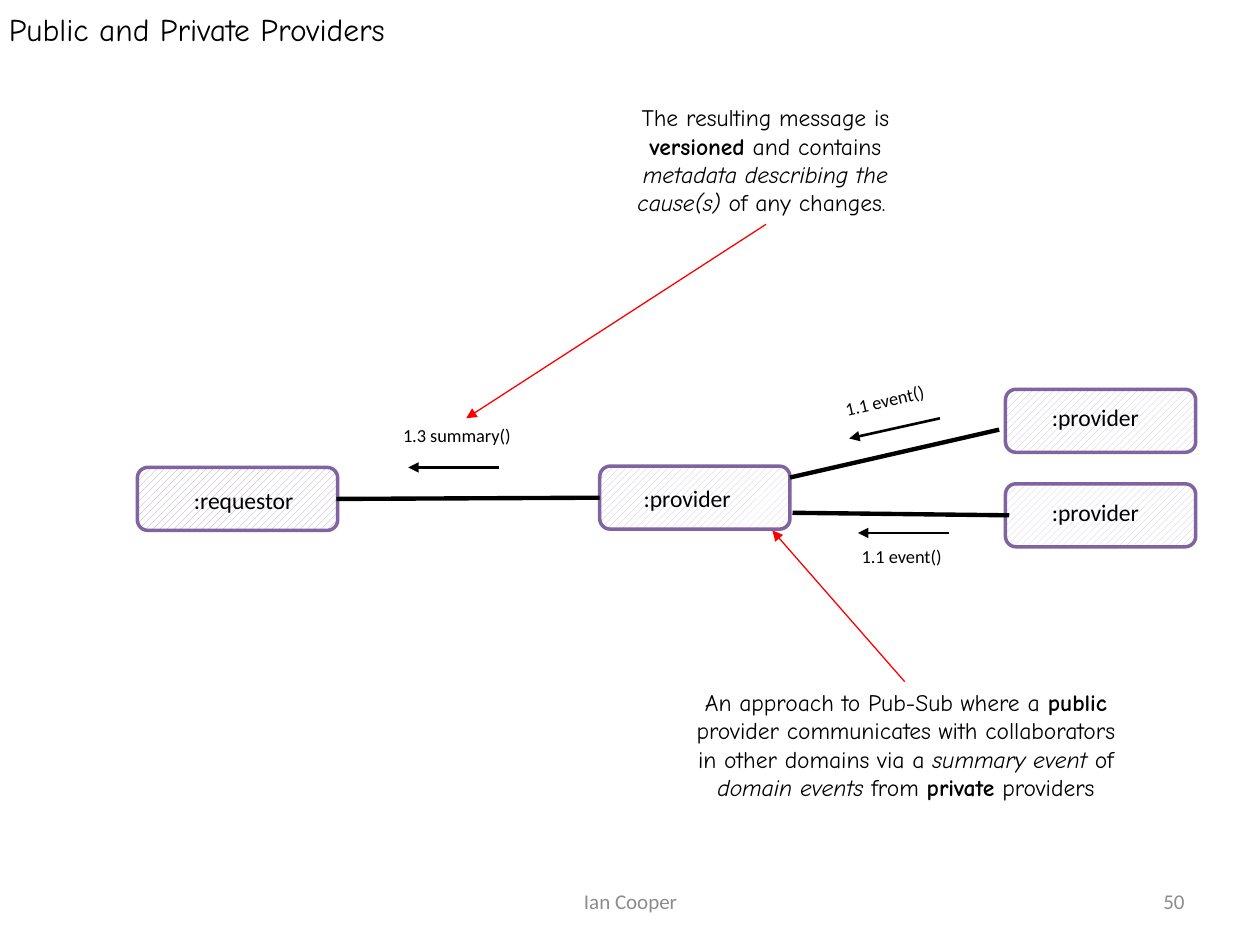
import pptx
import pptx.util
import pptx.dml.color
import pptx.enum.dml
import pptx.enum.shapes
import pptx.enum.text
import pptx.oxml.ns
import pptx.oxml.xmlchemy

Inches = pptx.util.Inches
Align = pptx.enum.text.PP_ALIGN
Anchor = pptx.enum.text.MSO_ANCHOR
Fit = pptx.enum.text.MSO_AUTO_SIZE

HUES = {
    "ink": "000000",
    "gray": "8C8C8C",
    "edge": "8064A2",
    "hatch": "CCC1DA",
    "deep": "B3A2C7",
    "paper": "FFFFFF",
    "note": "FF0000",
}
NOTE = "Comic Neue"
BODY = "Calibri"


class Board:
    def __init__(self, deck):
        self.slide = deck.slides.add_slide(deck.slide_layouts[5])
        self.shapes = self.slide.shapes

    def hue(self, name):
        return pptx.dml.color.RGBColor.from_string(HUES[name])

    def style(self, run, size, face, hue="ink", mark=""):
        font = run.font
        font.size = pptx.util.Pt(size)
        font.name = face
        font.color.rgb = self.hue(hue)
        font.bold = mark == "b"
        font.italic = mark == "i"

    def title(self, text):
        head = self.shapes.title
        head.left, head.top = Inches(0), Inches(0.01)
        head.width, head.height = Inches(10), Inches(0.45)
        frame = head.text_frame
        frame.text = text
        frame.auto_size = Fit.SHAPE_TO_FIT_TEXT
        frame.vertical_anchor = Anchor.TOP
        frame.margin_left = frame.margin_right = Inches(0.07)
        frame.margin_top = frame.margin_bottom = Inches(0.07)
        line = frame.paragraphs[0]
        line.alignment = Align.LEFT
        self.style(line.runs[0], 18, NOTE)

    def frame(self, left, top, width, height):
        box = self.shapes.add_textbox(*map(Inches, (left, top, width, height)))
        box.text_frame.word_wrap = True
        return box

    def label(self, text, left, top, width, height, size, turn=0):
        box = self.frame(left, top, width, height)
        box.rotation = turn
        box.text_frame.auto_size = Fit.SHAPE_TO_FIT_TEXT
        box.text_frame.text = text
        self.style(box.text_frame.paragraphs[0].runs[0], size, BODY)

    def foot(self, text, left, width, align):
        frame = self.frame(left, 6.95, width, 0.4).text_frame
        frame.vertical_anchor = Anchor.MIDDLE
        frame.text = text
        line = frame.paragraphs[0]
        line.alignment = align
        self.style(line.runs[0], 12, BODY, "gray")

    def note(self, parts, left, top, width, height):
        frame = self.frame(left, top, width, height).text_frame
        frame.auto_size = Fit.SHAPE_TO_FIT_TEXT
        line = frame.paragraphs[0]
        line.alignment = Align.CENTER
        for text, mark in parts:
            run = line.add_run()
            run.text = text
            self.style(run, 13.5, NOTE, mark=mark)

    def node(self, left, top, width, hatch="hatch"):
        kind = pptx.enum.shapes.MSO_SHAPE.ROUNDED_RECTANGLE
        box = self.shapes.add_shape(kind, *map(Inches, (left, top, width, 0.5)))
        box.shadow.inherit = False
        box.fill.patterned()
        box.fill.pattern = pptx.enum.dml.MSO_PATTERN.WIDE_UPWARD_DIAGONAL
        box.fill.fore_color.rgb = self.hue(hatch)
        box.fill.back_color.rgb = self.hue("paper")
        box.line.color.rgb = self.hue("edge")
        box.line.width = pptx.util.Pt(2)

    def link(self, start, end, width, hue="ink", arrow=False):
        kind = pptx.enum.shapes.MSO_CONNECTOR.STRAIGHT
        line = self.shapes.add_connector(kind, *map(Inches, (*start, *end)))
        line.line.color.rgb = self.hue(hue)
        line.line.width = pptx.util.Pt(width)
        if arrow:
            tip = pptx.oxml.xmlchemy.OxmlElement("a:tailEnd")
            tip.set("type", "triangle")
            line.get_or_add_ln().append(tip)
        props = line._element.find(pptx.oxml.ns.qn("p:spPr"))
        props.append(pptx.oxml.xmlchemy.OxmlElement("a:effectLst"))


def main():
    deck = pptx.Presentation()
    deck.slide_width, deck.slide_height = Inches(10), Inches(7.5)
    board = Board(deck)

    board.title("Public and Private Providers")
    board.foot("Ian Cooper", 3.42, 3.17, Align.CENTER)
    board.foot("50", 7.17, 2.33, Align.RIGHT)

    board.node(1.09, 3.71, 1.59, "deep")
    board.label(":requestor", 1.44, 3.81, 1.09, 0.33, 13.5)
    for left, top, text_left, text_top in (
        (4.76, 3.7, 5.01, 3.79),
        (7.98, 3.84, 8.25, 3.9),
        (7.98, 3.09, 8.25, 3.15),
    ):
        board.node(left, top, 1.51)
        board.label(":provider", text_left, text_top, 0.96, 0.33, 13.5)

    for start, end in (
        ((2.67, 3.96), (4.76, 3.95)),
        ((6.29, 4.07), (8.01, 4.09)),
        ((6.27, 3.79), (7.93, 3.41)),
    ):
        board.link(start, end, 2.5)

    for text, left, top, turn, start, end in (
        ("1.3 summary()", 3.1, 3.32, 0, (3.96, 3.71), (3.24, 3.71)),
        ("1.1 event()", 6.74, 4.28, 0, (7.53, 4.23), (6.81, 4.23)),
        ("1.1 event()", 6.6, 3, 346.9, (7.46, 3.32), (6.74, 3.48)),
    ):
        board.label(text, left, top, 1.19, 0.28, 10.5, turn)
        board.link(start, end, 1.5, arrow=True)

    board.note([
        ("The resulting message is ", ""),
        ("versioned", "b"),
        (" and contains ", ""),
        ("metadata describing the cause(s)", "i"),
        (" of any changes. ", ""),
    ], 4.82, 0.77, 2.51, 1.01)
    board.link((6.08, 1.78), (3.7, 3.32), 0.75, "note", True)

    board.note([
        ("An approach to Pub-Sub where a ", ""),
        ("public", "b"),
        (" provider communicates with collaborators in other domains via a ", ""),
        ("summary event ", "i"),
        ("of ", ""),
        ("domain events", "i"),
        (" from ", ""),
        ("private", "b"),
        (" providers", ""),
    ], 5.39, 5.41, 3.6, 1.24)
    board.link((7.18, 5.41), (6.13, 4.21), 0.75, "note", True)

    deck.save("out.pptx")


if __name__ == "__main__":
    main()
